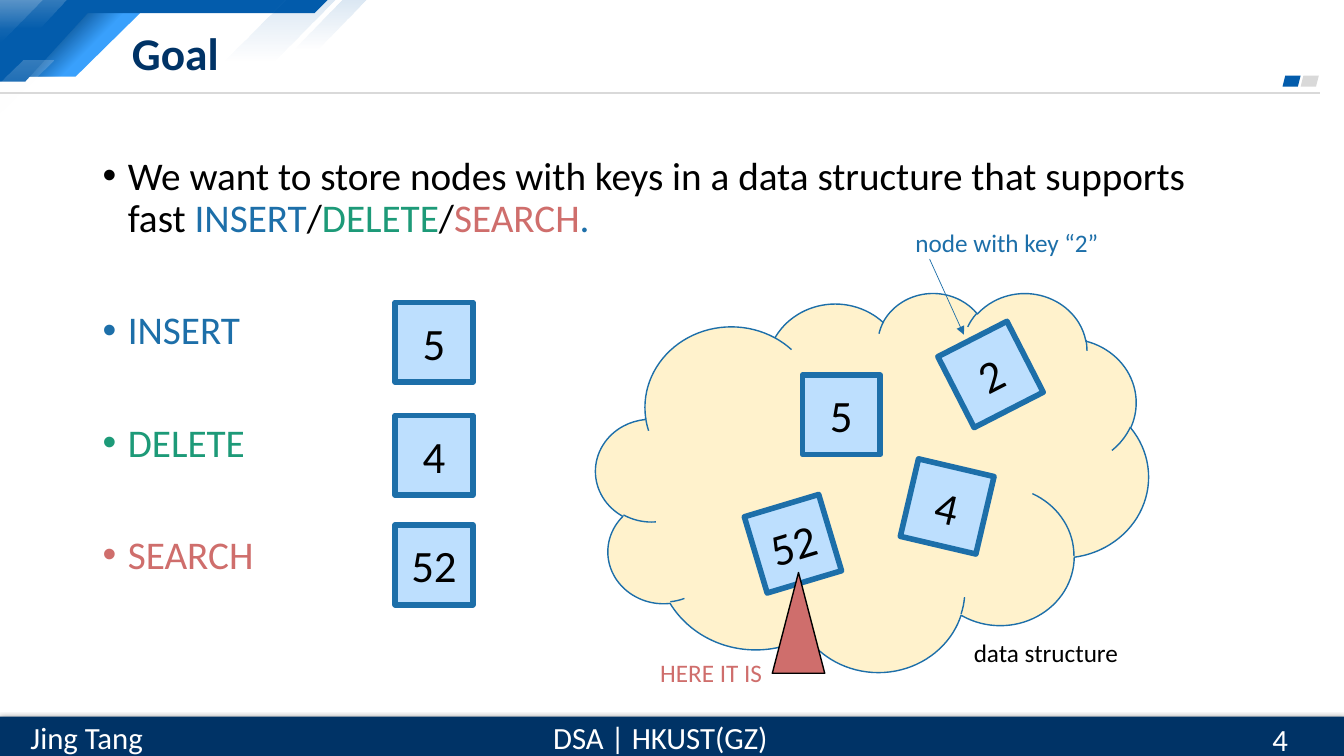
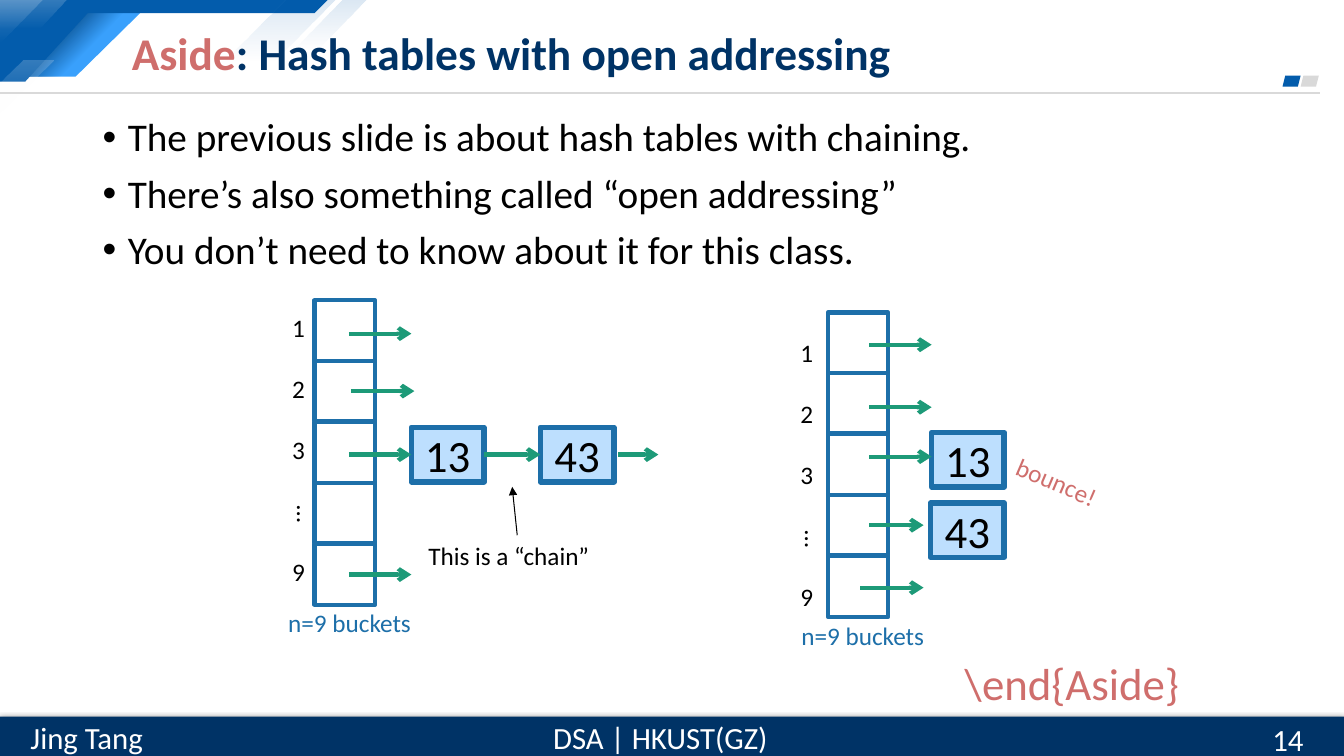
import lxml.etree
import pptx
import pptx.dml.color
import pptx.enum.shapes
import pptx.enum.text
import pptx.oxml.ns
import pptx.util

RGBColor = pptx.dml.color.RGBColor
SHAPE = pptx.enum.shapes.MSO_SHAPE
ALIGN = pptx.enum.text.PP_ALIGN
ANCHOR = pptx.enum.text.MSO_ANCHOR
qn = pptx.oxml.ns.qn
Pt = pptx.util.Pt

EMU_PER_PX = 9144  # 100 px to the inch
SLIDE_WIDTH, SLIDE_HEIGHT = 1333, 750
FONT = "Calibri"

BLACK = RGBColor(0x00, 0x00, 0x00)
WHITE = RGBColor(0xFF, 0xFF, 0xFF)
NAVY = RGBColor(0x00, 0x33, 0x66)
BAND_BLUE = RGBColor(0x03, 0x5C, 0xAC)
BAND_LIGHT = RGBColor(0x39, 0xA0, 0xFC)
BAND_SHADE = RGBColor(0x02, 0x45, 0x81)
GREY = RGBColor(0xD9, 0xD9, 0xD9)
BLUE = RGBColor(0x1D, 0x6F, 0xA9)
GREEN = RGBColor(0x1D, 0x9A, 0x78)
RED = RGBColor(0xCF, 0x6E, 0x6C)
NODE_FILL = RGBColor(0xBD, 0xDF, 0xFE)
CLOUD_FILL = RGBColor(0xFF, 0xF2, 0xCC)

BAND_PARALLELOGRAM = [(84, 7), (145, 7), (75, 76), (16, 76)]
BAND_OUTLINE = [(0, 0), (325, 0), (312, 13), (87, 13), (25, 81), (0, 81)]
FADING_STRIPES = [
    ([(0, 0), (42, 0), (0, 42)], WHITE, 20),
    ([(0, 0), (66, 0), (39, 28), (0, 28)], WHITE, 20),
    ([(284, 0), (333, 0), (272, 61), (222, 61)], BAND_BLUE, 15),
    ([(340, 0), (364, 0), (315, 49), (291, 49)], BAND_BLUE, 15),
    ([(23, 60), (53, 60), (0, 113), (0, 83)], WHITE, 20),
]
BUCKET_SIZE = 60
BUCKET_LABELS = ["1", "2", "3", "…", "9"]


def px(*lengths):
    return [pptx.util.Emu(length * EMU_PER_PX) for length in lengths]


def paint(shape, fill=None, line=None, width=1):
    shape.shadow.inherit = False
    if fill is None:
        shape.fill.background()
    else:
        shape.fill.solid()
        shape.fill.fore_color.rgb = fill
    if line is None:
        shape.line.fill.background()
    else:
        shape.line.color.rgb = line
        shape.line.width = Pt(width)


def fade(shape, color, alpha, stops=(0, 100), angle=270):
    """Fill with one colour that goes from alpha percent to fully clear."""
    shape.fill.gradient()
    shape.fill.gradient_angle = angle
    for stop, position in zip(shape.fill.gradient_stops, stops):
        stop.color.rgb = color
        stop.position = position / 100
    colors = shape._element.spPr.iter(qn("a:srgbClr"))
    for element, opacity in zip(list(colors), (alpha, 0)):
        lxml.etree.SubElement(element, qn("a:alpha"), val=str(opacity * 1000))


def add_polygon(slide, points, fill=None):
    builder = slide.shapes.build_freeform(*points[0], scale=EMU_PER_PX)
    builder.add_line_segments(points[1:], close=True)
    shape = builder.convert_to_shape()
    paint(shape, fill)
    return shape


def add_preset(slide, kind, place, fill=None, line=None, width=1):
    shape = slide.shapes.add_shape(kind, *px(*place))
    paint(shape, fill, line, width)
    return shape


def write_spans(para, spans, size, bold=False):
    """Fill a paragraph with (text, colour) pairs."""
    for text, color in spans:
        span = para.add_run()
        span.text = text
        span.font.name = FONT
        span.font.size = Pt(size)
        span.font.bold = bold
        span.font.color.rgb = color


def add_text(slide, place, spans, size=18, bold=False, align=ALIGN.LEFT,
             anchor=ANCHOR.TOP, rotation=0):
    box = slide.shapes.add_textbox(*px(*place))
    box.rotation = rotation
    frame = box.text_frame
    frame.word_wrap = True
    frame.vertical_anchor = anchor
    para = frame.paragraphs[0]
    para.alignment = align
    write_spans(para, spans, size, bold)


def add_bullets(slide, place, items, gap):
    box = slide.shapes.add_textbox(*px(*place))
    frame = box.text_frame
    frame.word_wrap = True
    for index, spans in enumerate(items):
        para = frame.add_paragraph() if index else frame.paragraphs[0]
        para.line_spacing = 0.9
        para.space_before = Pt(gap if index else 0)
        properties = para._p.get_or_add_pPr()
        indent = px(25)[0]
        properties.set("marL", str(indent))
        properties.set("indent", str(-indent))
        lxml.etree.SubElement(properties, qn("a:buFont"), typeface="Arial")
        lxml.etree.SubElement(properties, qn("a:buChar"), char="•")
        write_spans(para, spans, 28)


def add_node(slide, place, key, rotation=0):
    node = add_preset(slide, SHAPE.RECTANGLE, place, NODE_FILL, BLUE, 4)
    node.rotation = rotation
    frame = node.text_frame
    frame.vertical_anchor = ANCHOR.MIDDLE
    frame.paragraphs[0].alignment = ALIGN.CENTER
    write_spans(frame.paragraphs[0], [(key, BLACK)], 32)
    return node


def add_line(slide, start, end, color=GREEN, width=3, head=None):
    line = slide.shapes.add_connector(
        pptx.enum.shapes.MSO_CONNECTOR.STRAIGHT, *px(*start, *end))
    line.line.color.rgb = color
    line.line.width = Pt(width)
    if head:
        outline = line.line._get_or_add_ln()
        lxml.etree.SubElement(outline, qn("a:tailEnd"), type=head)
    lxml.etree.SubElement(line._element.spPr, qn("a:effectLst"))
    return line


def add_arrow(slide, left, right, top):
    return add_line(slide, (left, top), (right, top), head="arrow")


def add_band(slide):
    add_polygon(slide, BAND_PARALLELOGRAM, BAND_LIGHT)
    fade(add_polygon(slide, BAND_PARALLELOGRAM), BAND_SHADE, 100, (29, 57), 315)
    add_polygon(slide, BAND_OUTLINE, BAND_BLUE)
    for points, color, alpha in FADING_STRIPES:
        fade(add_polygon(slide, points), color, alpha)
    add_line(slide, (0, 92), (1309, 92), GREY, 1.5)
    for left, color in ((1290, GREY), (1272, BAND_BLUE)):
        add_preset(slide, SHAPE.PARALLELOGRAM, (left, 75, 18, 11), color)


def add_footer(slide, number):
    bar = add_preset(slide, SHAPE.RECTANGLE, (0, 711, SLIDE_WIDTH, 39), NAVY)
    effects = bar._element.spPr.find(qn("a:effectLst"))
    shadow = lxml.etree.SubElement(
        effects, qn("a:outerShdw"), blurRad=str(Pt(4.5)), dist=str(Pt(1.5)),
        dir="5400000", rotWithShape="0")
    color = lxml.etree.SubElement(shadow, qn("a:srgbClr"), val=str(BLACK))
    lxml.etree.SubElement(color, qn("a:alpha"), val="63000")
    for place, text, align in (
            ((536, 708, 238, 47), "DSA | HKUST(GZ)", ALIGN.CENTER),
            ((16, 708, 140, 47), "Jing Tang", ALIGN.CENTER),
            ((1252, 713, 81, 40), number, ALIGN.LEFT)):
        add_text(slide, place, [(text, WHITE)], 22, align=align,
                 anchor=ANCHOR.MIDDLE)


def add_page(deck, title, number):
    slide = deck.slides.add_slide(deck.slide_layouts[6])
    add_band(slide)
    add_footer(slide, number)
    add_text(slide, (121, 17, 1021, 69), title, 32.4, bold=True,
             anchor=ANCHOR.MIDDLE)
    return slide


def add_buckets(slide, left, top, label_left, label_drop):
    """Draw a column of buckets; labels start label_drop below each top."""
    for index, label in enumerate(BUCKET_LABELS):
        bucket_top = top + index * 605 // 10
        add_preset(slide, SHAPE.RECTANGLE,
                   (left, bucket_top, BUCKET_SIZE, BUCKET_SIZE), None, BLUE, 3)
        label_top = bucket_top + label_drop
        if label == "…":
            add_text(slide, (label_left - 7, label_top + 17, 63, 40),
                     [(label, BLACK)], rotation=90)
        else:
            add_text(slide, (label_left, label_top, 51, 40), [(label, BLACK)])
    add_text(slide, (left - 36, top + 300, 165, 40), [("n=9 buckets", BLUE)])


def build_goal(deck):
    slide = add_page(deck, [("Goal", NAVY)], "4")
    add_preset(slide, SHAPE.CLOUD, (591, 290, 548, 376), CLOUD_FILL, BLUE)
    add_bullets(slide, (92, 150, 1150, 512), [
        [("We want to store nodes with keys in a data structure that "
          "supports fast ", BLACK), ("INSERT", BLUE), ("/", BLACK),
         ("DELETE", GREEN), ("/", BLACK), ("SEARCH", RED), (".", BLUE)],
        [("INSERT", BLUE)],
        [("DELETE", GREEN)],
        [("SEARCH", RED)],
    ], gap=50)
    for left, top, key, rotation in (
            (392, 300, "5", 0), (392, 412, "4", 0), (392, 521, "52", 0),
            (796, 372, "5", 0), (944, 332, "2", 332.9),
            (901, 463, "4", 13.2), (748, 500, "52", 343.3)):
        add_node(slide, (left, top, 77, 79), key, rotation)
    add_preset(slide, SHAPE.ISOSCELES_TRIANGLE, (766, 568, 52, 100), RED, BLACK)
    add_text(slide, (645, 647, 146, 40), [("HERE IT IS", RED)])
    add_text(slide, (956, 627, 183, 40), [("data structure", BLACK)])
    add_text(slide, (898, 221, 225, 40), [("node with key “2”", BLUE)])
    add_line(slide, (922, 257), (956, 332), BLUE, 0.5, "triangle")


def draw_chaining(slide):
    add_buckets(slide, 312, 298, label_left=280, label_drop=7)
    first = add_node(slide, (408, 424, 72, 54), "13")
    second = add_node(slide, (536, 424, 73, 54), "43")
    for left, right, top in ((346, 408, 331), (348, 411, 388),
                             (346, 408, 570), (613, 653, 451)):
        add_arrow(slide, left, right, top)
    add_arrow(slide, 346, 408, 451).end_connect(first, 1)
    link = add_arrow(slide, 480, 536, 451)
    link.begin_connect(first, 3)
    link.end_connect(second, 1)
    add_text(slide, (415, 531, 196, 40), [("This is a “chain”", BLACK)])
    add_line(slide, (513, 531), (508, 483), BLACK, 0.75, "triangle")


def draw_open_addressing(slide):
    add_buckets(slide, 821, 310, label_left=784, label_drop=20)
    add_node(slide, (924, 429, 72, 54), "13")
    add_node(slide, (923, 499, 73, 54), "43")
    for left, right, top in ((862, 924, 342), (862, 924, 404), (862, 924, 453),
                             (862, 916, 521), (853, 916, 583)):
        add_arrow(slide, left, right, top)
    add_text(slide, (996, 460, 115, 40), [("bounce!", RED)], rotation=23.2)


def build_aside(deck):
    title = [("Aside", RED), (": Hash tables with open addressing", NAVY)]
    slide = add_page(deck, title, "14")
    add_bullets(slide, (92, 112, 1150, 170), [
        [("The previous slide is about hash tables with chaining.", BLACK)],
        [("There’s also something called “open addressing”", BLACK)],
        [("You don’t need to know about it for this class.", BLACK)],
    ], gap=10)
    draw_chaining(slide)
    draw_open_addressing(slide)
    add_text(slide, (947, 646, 386, 64), [("\\end{Aside}", RED)], 32)


def main():
    deck = pptx.Presentation()
    deck.slide_width, deck.slide_height = px(SLIDE_WIDTH, SLIDE_HEIGHT)
    build_goal(deck)
    build_aside(deck)
    deck.save("out.pptx")


if __name__ == "__main__":
    main()
